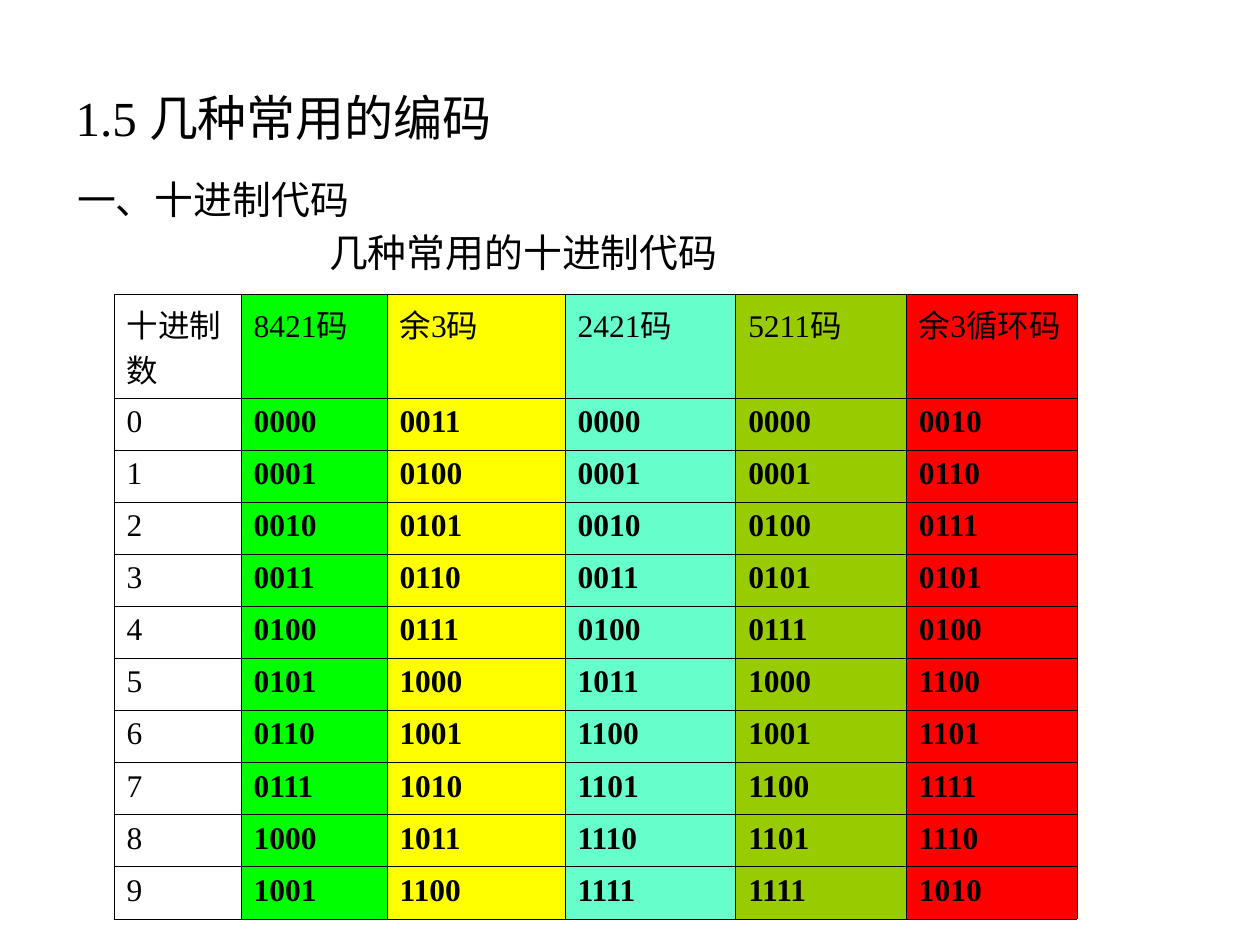
from lxml.etree import SubElement
from pptx import Presentation
from pptx.dml.color import RGBColor
from pptx.enum.text import MSO_ANCHOR, MSO_AUTO_SIZE, PP_ALIGN
from pptx.oxml.ns import qn
from pptx.util import Cm, Pt

COLORS = {
    "text": "000000",
    "border": "000000",
    "8421码": "00FF00",
    "余3码": "FFFF00",
    "2421码": "66FFCC",
    "5211码": "99CC00",
    "余3循环码": "FF0000",
}
HEADERS = ["十进制数", "8421码", "余3码", "2421码", "5211码", "余3循环码"]
CODES = [
    "0000 0011 0000 0000 0010",
    "0001 0100 0001 0001 0110",
    "0010 0101 0010 0100 0111",
    "0011 0110 0011 0101 0101",
    "0100 0111 0100 0111 0100",
    "0101 1000 1011 1000 1100",
    "0110 1001 1100 1001 1101",
    "0111 1010 1101 1100 1111",
    "1000 1011 1110 1101 1110",
    "1001 1100 1111 1111 1010",
]
COL_WIDTHS = [2.56, 2.94, 3.59, 3.44, 3.44, 3.44]
HEADER_HEIGHT, ROW_HEIGHT = 1.78, 1.05


class SlideBuilder:
    font = "Times New Roman"

    def __init__(self, s):
        self.s = s

    def add_text(self, p, text, size, bold=False):
        r = p.add_run()
        r.text = text
        for name, value in {"name": self.font, "size": Pt(size), "bold": bold}.items():
            setattr(r.font, name, value)
        r.font.color.rgb = RGBColor.from_string(COLORS["text"])

    def place(self, sp, left, top, width, height):
        box = {"left": left, "top": top, "width": width, "height": height}
        for name, value in box.items():
            setattr(sp, name, Cm(value))
        tf = sp.text_frame
        tf.auto_size = MSO_AUTO_SIZE.NONE
        return tf

    def title(self, text, box, size):
        tf = self.place(self.s.shapes.title, *box)
        tf.vertical_anchor = MSO_ANCHOR.MIDDLE
        p = tf.paragraphs[0]
        p.alignment = PP_ALIGN.JUSTIFY
        self.add_text(p, text, size)

    def body(self, lines, box, size):
        """Each line is its text, left margin and first-line indent in cm."""
        tf = self.place(self.s.placeholders[1], *box)
        for i, (text, margin, indent) in enumerate(lines):
            p = tf.add_paragraph() if i else tf.paragraphs[0]
            pPr = p._p.get_or_add_pPr()
            pPr.set("marL", str(Cm(margin)))
            pPr.set("indent", str(Cm(indent)))
            SubElement(pPr, qn("a:buNone"))
            p.line_spacing = 0.9
            p.space_before = Pt(6 if i else 0)
            self.add_text(p, text, size)

    def border(self, cell, width):
        tcPr = cell._tc.get_or_add_tcPr()
        for side in ("lnL", "lnR", "lnT", "lnB"):
            ln = SubElement(tcPr, qn(f"a:{side}"), w=str(Pt(width)))
            fill = SubElement(ln, qn("a:solidFill"))
            SubElement(fill, qn("a:srgbClr"), val=COLORS["border"])

    def table(self, rows, left, top, size):
        heights = [HEADER_HEIGHT] + [ROW_HEIGHT] * (len(rows) - 1)
        table = self.s.shapes.add_table(
            len(rows), len(COL_WIDTHS), Cm(left), Cm(top),
            Cm(sum(COL_WIDTHS)), Cm(sum(heights))).table
        for col, width in zip(table.columns, COL_WIDTHS):
            col.width = Cm(width)
        for i, (row, values) in enumerate(zip(table.rows, rows)):
            row.height = Cm(heights[i])
            for j, (cell, value) in enumerate(zip(row.cells, values)):
                self.border(cell, 0.45)
                if j:
                    cell.fill.solid()
                    cell.fill.fore_color.rgb = RGBColor.from_string(COLORS[HEADERS[j]])
                else:
                    cell.fill.background()
                self.add_text(cell.text_frame.paragraphs[0], value, size,
                              bold=i > 0 and j > 0)


def main():
    prs = Presentation()
    prs.slide_width, prs.slide_height = Cm(25.4), Cm(19.05)
    b = SlideBuilder(prs.slides.add_slide(prs.slide_layouts[1]))

    # Headings
    b.title("1.5 几种常用的编码", (1.27, 0.76, 22.86, 3.18), 28)
    b.body([("一、十进制代码", 0.95, -0.95), ("几种常用的十进制代码", 5.08, 0)],
           (1.3, 3.53, 22.6, 2.41), 22.2)

    # Code table: one row per decimal digit
    digits = [[str(n)] + codes.split() for n, codes in enumerate(CODES)]
    b.table([HEADERS] + digits, 2.3, 5.93, 18)

    prs.save("out.pptx")


if __name__ == "__main__":
    main()
